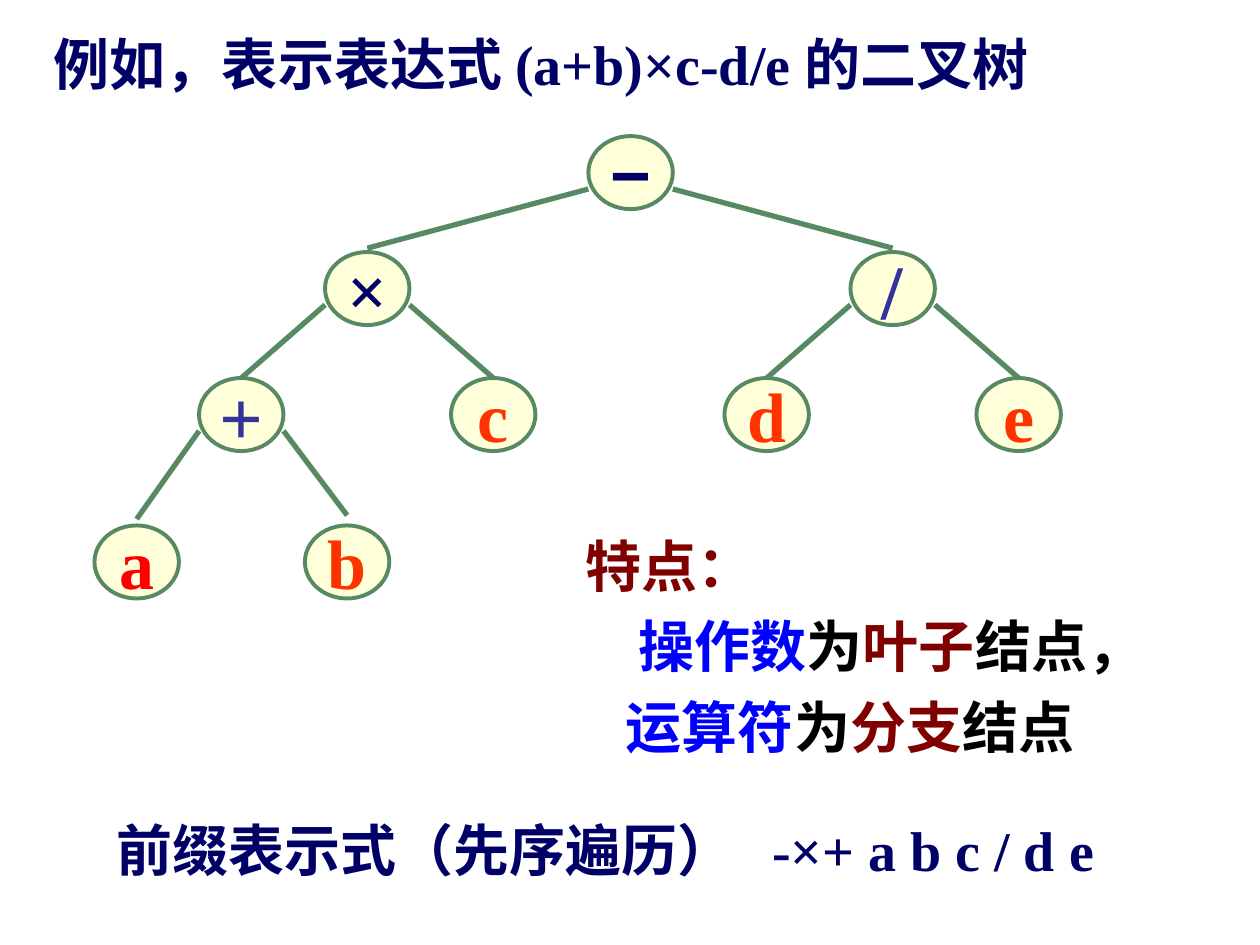
from lxml import etree
from pptx import Presentation
from pptx.dml.color import RGBColor
from pptx.enum import shapes, text
from pptx.oxml.ns import qn
from pptx.util import Inches, Pt

NAVY = RGBColor(0x00, 0x00, 0x66)
INDIGO = RGBColor(0x33, 0x33, 0x99)
RED = RGBColor(0xFF, 0x00, 0x00)
ORANGE = RGBColor(0xFF, 0x33, 0x00)
MAROON = RGBColor(0x80, 0x00, 0x00)
BLUE = RGBColor(0x00, 0x00, 0xFF)
BLACK = RGBColor(0x00, 0x00, 0x00)
GREEN = RGBColor(0x57, 0x89, 0x63)
CREAM = RGBColor(0xFF, 0xFF, 0xD9)
SERIF = "Times New Roman"


def add_run(para, words, color, size=32, face=SERIF):
    run = para.add_run()
    run.text = words
    font = run.font
    font.name, font.size, font.bold = face, Pt(size), True
    font.color.rgb = color


def add_box(left, top, width, height, wrap=True):
    box = slide.shapes.add_textbox(
        Inches(left), Inches(top), Inches(width), Inches(height))
    box.text_frame.word_wrap = wrap
    return box.text_frame


prs = Presentation()
prs.slide_width, prs.slide_height = Inches(10), Inches(7.5)
slide = prs.slides.add_slide(prs.slide_layouts[6])

title = add_box(0.33, 0.08, 9.39, 0.74).paragraphs[0]
title.line_spacing = 1.2
add_run(title, "例如，表示表达式 (a+b)×c-d/e 的二叉树", NAVY)

# Tree nodes: label -> left, top, colour, size, font
nodes = {
    "a": (0.75, 4.17, RED, 40, SERIF),
    "b": (2.42, 4.17, ORANGE, 40, SERIF),
    "c": (3.58, 3, ORANGE, 40, SERIF),
    "d": (5.75, 3, ORANGE, 40, SERIF),
    "e": (7.75, 3, ORANGE, 40, SERIF),
    "−": (4.67, 1.08, NAVY, 40, "Arial"),
    "×": (2.58, 2, NAVY, 40, SERIF),
    "+": (1.58, 3, INDIGO, 44, SERIF),
    "/": (6.75, 2, INDIGO, 44, SERIF),
}
WIDE, HIGH = 0.67, 0.58
for label, (left, top, color, size, face) in nodes.items():
    node = slide.shapes.add_shape(
        shapes.MSO_SHAPE.OVAL,
        Inches(left), Inches(top), Inches(WIDE), Inches(HIGH))
    node.shadow.inherit = False
    node.fill.solid()
    node.fill.fore_color.rgb = CREAM
    node.line.color.rgb = GREEN
    node.line.width = Pt(2.25)
    frame = node.text_frame
    frame.word_wrap = False
    frame.vertical_anchor = text.MSO_ANCHOR.MIDDLE
    para = frame.paragraphs[0]
    para.alignment = text.PP_ALIGN.CENTER
    add_run(para, label, color, size, face)

# Each edge runs from a side of the parent to just above the child
edges = [("−", "×", 0.03), ("−", "/", 0.03), ("×", "+", 0), ("+", "a", 0.05),
         ("+", "b", 0.08), ("×", "c", 0), ("/", "d", 0), ("/", "e", 0)]
for parent, child, gap in edges:
    left, top = nodes[parent][:2]
    low, end = nodes[child][:2]
    start = left if low < left else left + WIDE
    edge = slide.shapes.add_connector(
        shapes.MSO_CONNECTOR.STRAIGHT,
        Inches(start), Inches(top + 0.42),
        Inches(low + WIDE / 2), Inches(end - gap))
    edge.line.color.rgb = GREEN
    edge.line.width = Pt(3)
    etree.SubElement(edge._element.spPr, qn("a:effectLst"))

traits = [
    (0, [("特点：", MAROON)]),
    (0.42, [("操作数", BLUE), ("为", BLACK), ("叶子", MAROON), ("结点，", BLACK)]),
    (0.32, [("运算符", BLUE), ("为", BLACK), ("分支", MAROON), ("结点", BLACK)]),
]
frame = add_box(4.55, 4.06, 4.66, 2.02, wrap=False)
for row, (indent, parts) in enumerate(traits):
    para = frame.add_paragraph() if row else frame.paragraphs[0]
    para.line_spacing = 1.2
    para._p.get_or_add_pPr().set("marL", str(Inches(indent)))
    for words, color in parts:
        add_run(para, words, color)

prefix = add_box(0.83, 6.42, 8.27, 0.63).paragraphs[0]
tabs = etree.SubElement(prefix._p.get_or_add_pPr(), qn("a:tabLst"))
etree.SubElement(tabs, qn("a:tab"), pos=str(Inches(5.2)), algn="l")
add_run(prefix, "前缀表示式（先序遍历）\t-×+ a b c / d e", NAVY)

prs.save("out.pptx")
